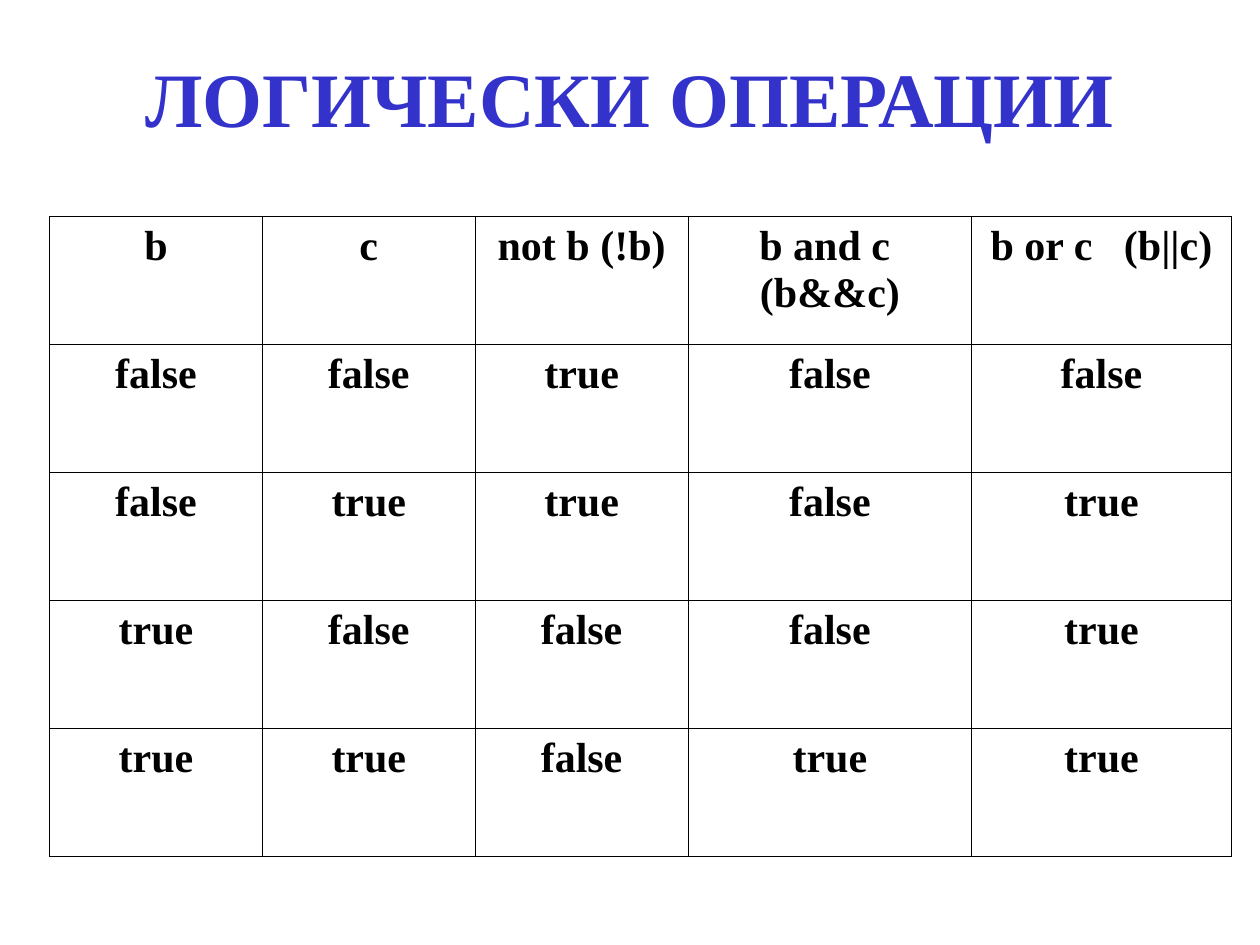
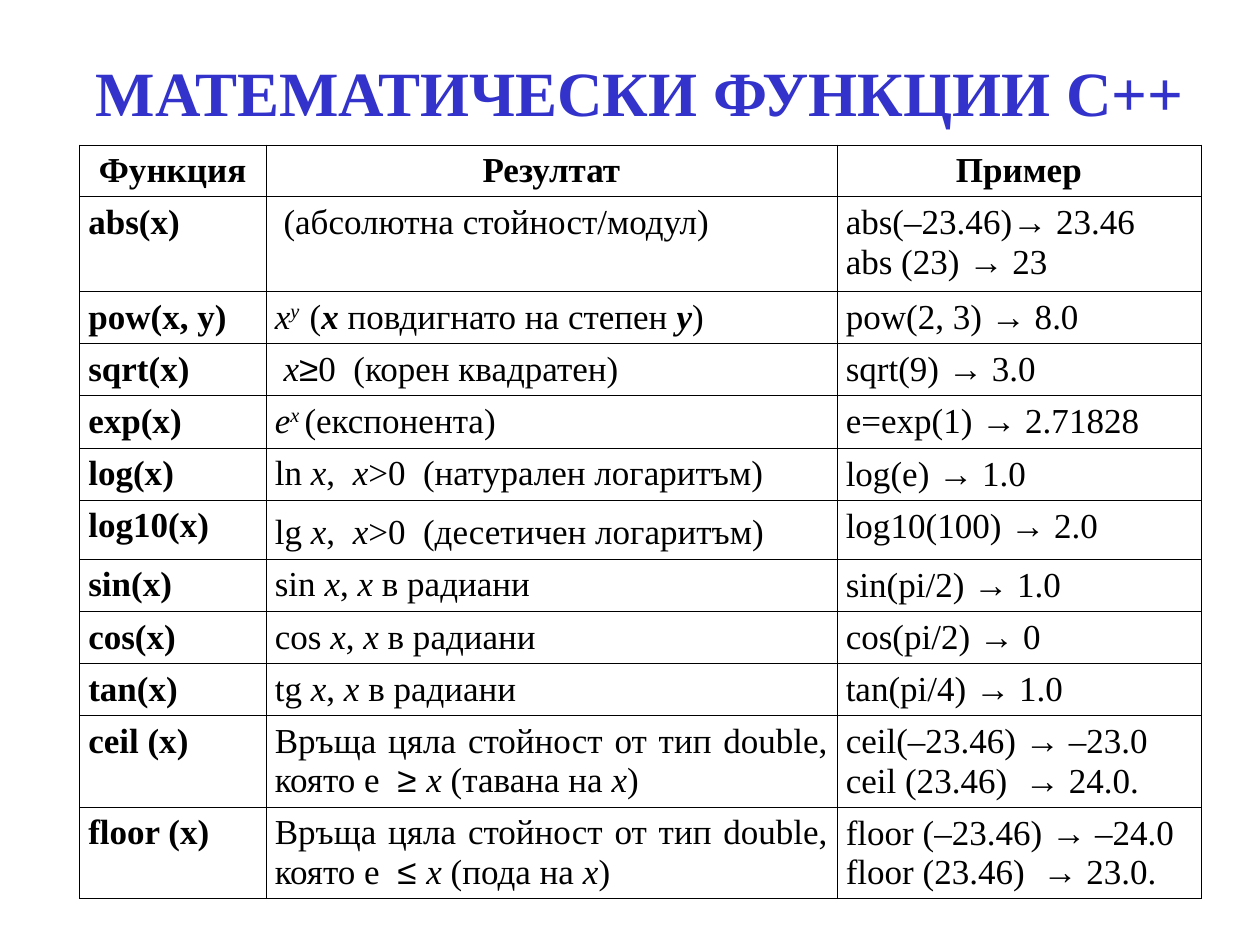
from lxml.etree import SubElement
from pptx import Presentation
from pptx.dml.color import RGBColor
from pptx.enum.text import MSO_ANCHOR, MSO_AUTO_SIZE, PP_ALIGN
from pptx.oxml import parse_xml
from pptx.oxml.ns import nsdecls
from pptx.util import Cm, Pt

TITLE_BLUE = RGBColor(0x33, 0x33, 0xCC)
BLACK = RGBColor(0, 0, 0)
SERIF, SANS = "Times New Roman", "Arial"
BORDER_WIDTH = Pt(0.45)
# Run styles: b bold, i italic, s superscript, a symbol in the sans font
PLAIN, BOLD, ITALIC, BOLD_ITALIC, POWER, SYMBOL = "", "b", "i", "bi", "is", "a"


def add_titled_table(title_text, title_box, title_size, table_place, widths, heights):
    """Add a slide with its title and an empty table; return the table."""
    page = deck.slides.add_slide(deck.slide_layouts[5])
    title = page.shapes.title
    title.left, title.top, title.width, title.height = map(Cm, title_box)
    frame = title.text_frame
    frame.auto_size = MSO_AUTO_SIZE.NONE
    frame.vertical_anchor = MSO_ANCHOR.MIDDLE
    para = frame.paragraphs[0]
    para.alignment = PP_ALIGN.CENTER
    span = para.add_run()
    span.text = title_text
    span.font.name, span.font.size, span.font.bold = SERIF, Pt(title_size), True
    span.font.color.rgb = TITLE_BLUE

    left, top = map(Cm, table_place)
    table = page.shapes.add_table(len(heights), len(widths), left, top,
                                  Cm(sum(widths)), Cm(sum(heights))).table
    table.first_row = table.horz_banding = False
    for column, width in zip(table.columns, widths):
        column.width = Cm(width)
    for row, height in zip(table.rows, heights):
        row.height = Cm(height)
    return table


def fill_cell(cell, paragraphs, size, alignment, side_margin):
    """Write paragraphs, each a list of (text, style) runs, and draw the borders."""
    cell.margin_left = cell.margin_right = Cm(side_margin)
    cell.margin_top = cell.margin_bottom = Cm(0.13)
    cell.fill.background()
    properties = cell._tc.get_or_add_tcPr()
    for position, side in enumerate("LRTB"):
        border = parse_xml(f'<a:ln{side} {nsdecls("a")} w="{BORDER_WIDTH}"><a:solidFill>'
                           f'<a:srgbClr val="{BLACK}"/></a:solidFill></a:ln{side}>')
        properties.insert(position, border)
    frame = cell.text_frame
    for number, runs in enumerate(paragraphs):
        para = frame.add_paragraph() if number else frame.paragraphs[0]
        para.alignment = alignment
        for text, style in runs:
            span = para.add_run()
            span.text = text
            span.font.name = SANS if "a" in style else SERIF
            span.font.size = Pt(size)
            span.font.bold, span.font.italic = "b" in style, "i" in style
            span.font.color.rgb = BLACK
            if "s" in style:
                span._r.get_or_add_rPr().set("baseline", "30000")


deck = Presentation()
deck.slide_width, deck.slide_height = Cm(25.4), Cm(19.05)

# Logical operations
truth_rows = [
    ["b", "c", "not b (!b)", "b and c  (b&&c)", "b or c   (b||c)"],
    ["false", "false", "true", "false", "false"],
    ["false", "true", "true", "false", "true"],
    ["true", "false", "false", "false", "true"],
    ["true", "true", "false", "true", "true"],
]
truth_table = add_titled_table("ЛОГИЧЕСКИ ОПЕРАЦИИ", (0.3, 1, 24.8, 1.9), 44, (1, 4.37),
                               [4.29] * 3 + [5.72, 5.23], [2.58] * len(truth_rows))
for row, words in zip(truth_table.rows, truth_rows):
    for cell, word in zip(row.cells, words):
        fill_cell(cell, [[(word, BOLD)]], 24, PP_ALIGN.CENTER, 0.2)

# Mathematical functions: name, result runs, (call, value) examples
x = ("x", ITALIC)
in_radians = [x, (", ", PLAIN), x, (" в радиани", PLAIN)]
positive_x = [x, (",  ", PLAIN), x]
returns_whole = ("Връща цяла стойност от тип double, която е  ", PLAIN)
functions = [
    ("abs(x)", [(" (абсолютна стойност/модул)", PLAIN)],
     [("abs(–23.46)", "23.46"), ("abs (23) ", "23")]),
    ("pow(x, y)", [x, ("y  ", POWER), ("(", PLAIN), ("x", BOLD_ITALIC),
                   (" повдигнато на степен ", PLAIN), ("y", BOLD_ITALIC), (")", PLAIN)],
     [("pow(2, 3) ", "8.0")]),
    ("sqrt(x)", [(" ", PLAIN), x, ("≥", SYMBOL), ("0  (корен квадратен)", PLAIN)],
     [("sqrt(9) ", "3.0")]),
    ("exp(x)", [("e", ITALIC), ("x ", POWER), ("(експонента)", PLAIN)],
     [("e=exp(1) ", "2.71828")]),
    ("log(x)", [("ln ", PLAIN), *positive_x, (">0  (натурален логаритъм)", PLAIN)],
     [("log(e) ", "1.0")]),
    ("log10(x)", [("lg ", PLAIN), *positive_x, (">0  (десетичен логаритъм)", PLAIN)],
     [("log10(100) ", "2.0")]),
    ("sin(x)", [("sin ", PLAIN), *in_radians], [("sin(pi/2) ", "1.0")]),
    ("cos(x)", [("cos ", PLAIN), *in_radians], [("cos(pi/2) ", "0")]),
    ("tan(x)", [("tg ", PLAIN), *in_radians], [("tan(pi/4) ", "1.0")]),
    ("ceil (x)", [returns_whole, ("≥ ", SYMBOL), ("x ", ITALIC), ("(тавана на ", PLAIN),
                  x, (")", PLAIN)],
     [("ceil(–23.46) ", "–23.0"), ("ceil (23.46)  ", "24.0.")]),
    ("floor (x)", [returns_whole, ("≤ ", SYMBOL), ("x ", ITALIC), ("(пода на ", PLAIN),
                   x, (")", PLAIN)],
     [("floor (–23.46) ", "–24.0"), ("floor (23.46)  ", "23.0.")]),
]
heights = [1.03, 1.91] + [1.05] * 4 + [1.19] + [1.05] * 3 + [1.84] * 2
function_table = add_titled_table("МАТЕМАТИЧЕСКИ ФУНКЦИИ C++", (1, 0.9, 23.8, 1.9), 36,
                                  (1.6, 2.92), [3.76, 11.51, 7.34], heights)
for cell, heading in zip(function_table.rows[0].cells, ["Функция", "Резултат", "Пример"]):
    fill_cell(cell, [[(heading, BOLD)]], 20, PP_ALIGN.CENTER, 0.18)
for number, (name, result, examples) in enumerate(functions, start=1):
    example_lines = [[(call, PLAIN), ("→", SYMBOL), (" " + value, PLAIN)]
                     for call, value in examples]
    for cell, paragraphs in zip(function_table.rows[number].cells,
                                [[[(name, BOLD)]], [result], example_lines]):
        fill_cell(cell, paragraphs, 20, PP_ALIGN.JUSTIFY, 0.18)
# The decimal logarithm sits a little lower in its taller row
function_table.cell(6, 1).margin_top = Cm(0.26)

deck.save("out.pptx")
